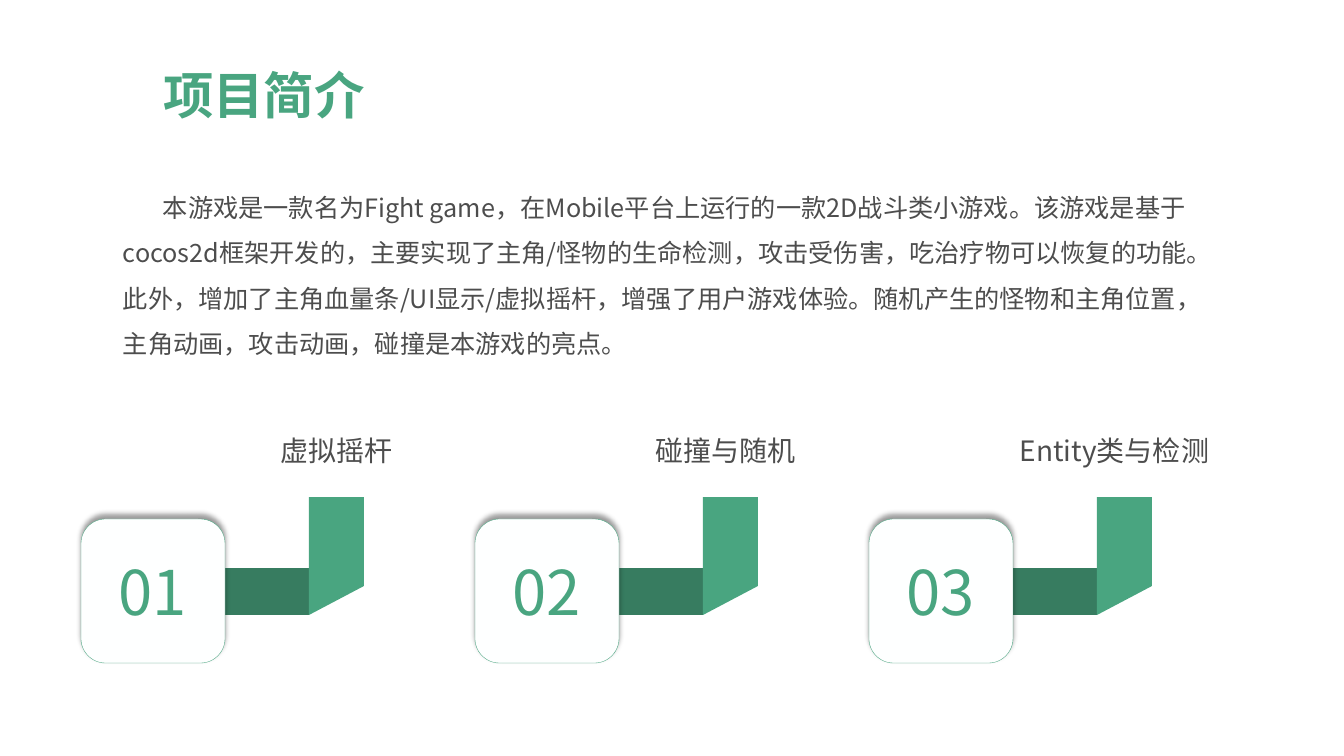
from lxml.etree import SubElement as Sub
from pptx import Presentation
from pptx.dml.color import RGBColor as RGB
from pptx.enum.shapes import MSO_SHAPE as Kind
from pptx.enum.text import MSO_ANCHOR as Anchor, MSO_AUTO_SIZE as Fit, PP_ALIGN as Align
from pptx.oxml.ns import qn
from pptx.util import Pt

# Content
TITLE = "项目简介"
INTRO = (
    "本游戏是一款名为Fight game，在Mobile平台上运行的一款2D战斗类小游戏。"
    "该游戏是基于cocos2d框架开发的，主要实现了主角/怪物的生命检测，攻击受伤害，"
    "吃治疗物可以恢复的功能。此外，增加了主角血量条/UI显示/虚拟摇杆，"
    "增强了用户游戏体验。随机产生的怪物和主角位置，主角动画，攻击动画，"
    "碰撞是本游戏的亮点。"
)
STEPS = ["虚拟摇杆", "碰撞与随机", "Entity类与检测"]

# Style and layout, lengths in px
FONT = "Noto Sans CJK SC"
HEX = {"green": "49A580", "dark": "377C60", "text": "4D4D4D",
       "card": "FEFFFF", "black": "000000"}
UNIT = 914400 / 100.8
WIDE, HIGH = 1344, 756
TITLE_BOX = (153, 43, 1099, 111)
INTRO_BOX = (113, 173, 1118, 190)
INDENT = 40
CARD_X, CARD_Y, CARD, STEP = 81, 519, 144, 394
BAR, BAR_TOP, BAR_END = 84, 568, 615
FOLD, FOLD_TOP, FOLD_END = 55, 497, 586
LABEL_X, LABEL_Y, LABEL_W, LABEL_H, LABEL_STEP = 198, 386, 277, 111, 389


def px(n):
    return round(n * UNIT)


def color(name):
    return RGB.from_string(HEX[name])


def write(shape, text, size, tint="text", bold=False, align=Align.LEFT,
          space=1.0, indent=0):
    frame = shape.text_frame
    frame.word_wrap = True
    frame.auto_size = Fit.NONE
    frame.vertical_anchor = Anchor.MIDDLE
    para = frame.paragraphs[0]
    para.alignment = align
    para.line_spacing = space
    if indent:
        para._p.get_or_add_pPr().set("indent", str(px(indent)))
    run = para.add_run()
    run.text = text
    font = run.font
    font.name, font.size, font.bold = FONT, Pt(size), bold
    font.color.rgb = color(tint)
    Sub(run._r.get_or_add_rPr(), qn("a:ea"), typeface=FONT)


def fill(shape, tint):
    shape.shadow.inherit = False
    shape.fill.solid()
    shape.fill.fore_color.rgb = color(tint)
    shape.line.fill.background()


def outline(shapes, points, tint):
    pen = shapes.build_freeform(*points[0], scale=UNIT)
    pen.add_line_segments(points[1:], close=True)
    fill(pen.convert_to_shape(), tint)


def cast(shape):
    glow = Sub(shape._element.spPr.find(qn("a:effectLst")), qn("a:outerShdw"),
               blurRad=str(Pt(4)), dist=str(Pt(3)), dir="16200000",
               algn="b", rotWithShape="0")
    tone = Sub(glow, qn("a:srgbClr"), val=HEX["black"])
    Sub(tone, qn("a:alpha"), val="40000")


def main():
    deck = Presentation()
    deck.slide_width, deck.slide_height = px(WIDE), px(HIGH)
    slide = deck.slides.add_slide(deck.slide_layouts[5])
    shapes = slide.shapes

    # Title
    title = shapes.title
    title.left, title.top, title.width, title.height = map(px, TITLE_BOX)
    write(title, TITLE, 36, tint="green", bold=True, space=0.9)

    # Numbered cards with folded ribbons and labels
    for i, name in enumerate(STEPS):
        left = CARD_X + i * STEP
        start = left + CARD
        bend = start + BAR
        end = bend + FOLD
        outline(shapes, [(start, BAR_TOP), (bend, BAR_TOP),
                         (bend, BAR_END), (start, BAR_END)], "dark")
        outline(shapes, [(bend, FOLD_TOP), (end, FOLD_TOP),
                         (end, FOLD_END), (bend, BAR_END)], "green")

        card = shapes.add_shape(Kind.ROUNDED_RECTANGLE,
                                *map(px, (left, CARD_Y, CARD, CARD)))
        card.adjustments[0] = 0.17
        fill(card, "card")
        card.line.color.rgb = color("green")
        card.line.width = Pt(0.25)
        cast(card)
        write(card, f"{i + 1:02}", 44, tint="green", align=Align.CENTER)

        spot = (LABEL_X + i * LABEL_STEP, LABEL_Y, LABEL_W, LABEL_H)
        label = shapes.add_textbox(*map(px, spot))
        write(label, name, 20, align=Align.CENTER, space=1.5)

    # Introduction
    intro = shapes.add_textbox(*map(px, INTRO_BOX))
    write(intro, INTRO, 18, space=1.5, indent=INDENT)

    deck.save("out.pptx")


if __name__ == "__main__":
    main()
